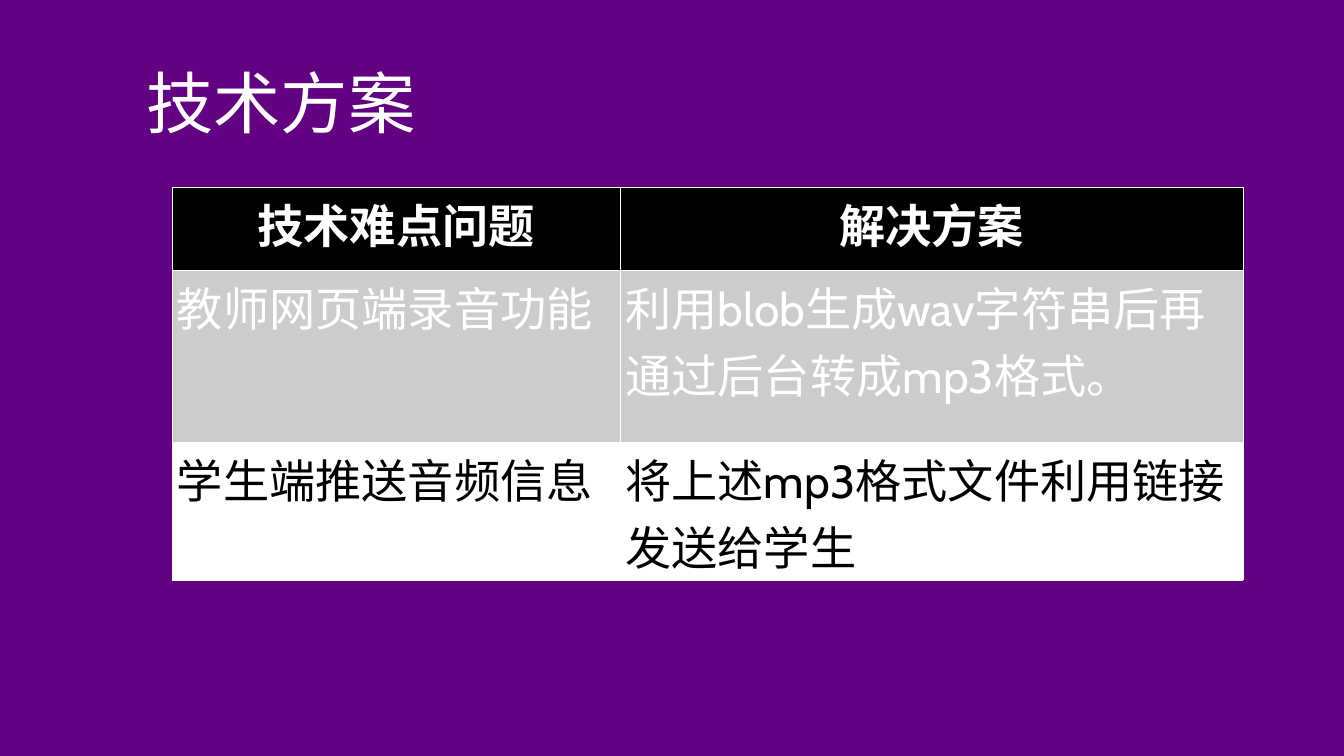
"""Build the technical solutions slide with its problem and solution table."""
from dataclasses import dataclass

from lxml.etree import SubElement
from pptx import Presentation
from pptx.dml.color import RGBColor
from pptx.enum.text import MSO_ANCHOR, PP_ALIGN
from pptx.oxml.ns import qn
from pptx.table import _Cell
from pptx.text.text import TextFrame
from pptx.util import Inches, Pt

PURPLE = RGBColor(0x62, 0x01, 0x82)
WHITE = RGBColor(0xFF, 0xFF, 0xFF)
BLACK = RGBColor(0x00, 0x00, 0x00)
GREY = RGBColor(0xCC, 0xCC, 0xCC)
FONT = "Cabin"


@dataclass(frozen=True)
class TableRow:
    height: float
    texts: tuple[str, str]
    fill: RGBColor
    color: RGBColor
    header: bool = False


COLUMN_WIDTHS = (8.9, 12.36)
ROWS = (
    TableRow(1.65, ("技术难点问题", "解决方案"), BLACK, WHITE, header=True),
    TableRow(3.41, ("教师网页端录音功能", "利用blob生成wav字符串后再通过后台转成mp3格式。"), GREY, WHITE),
    TableRow(2.73, ("学生端推送音频信息", "将上述mp3格式文件利用链接发送给学生"), WHITE, BLACK),
)


def write_text(tf: TextFrame, text: str, size: float, color: RGBColor,
               align: PP_ALIGN, bold: bool = False) -> None:
    tf.text = text
    p = tf.paragraphs[0]
    p.alignment = align
    font = p.runs[0].font
    font.name, font.size, font.bold = FONT, Pt(size), bold
    font.color.rgb = color


def add_bottom_border(cell: _Cell, color: RGBColor, width: float) -> None:
    line = SubElement(cell._tc.get_or_add_tcPr(), qn("a:lnB"), w=str(Pt(width)))
    fill = SubElement(line, qn("a:solidFill"))
    SubElement(fill, qn("a:srgbClr"), val=str(color))


def fill_cell(cell: _Cell, text: str, row: TableRow) -> None:
    if row.header:
        add_bottom_border(cell, WHITE, 2)
    cell.fill.solid()
    cell.fill.fore_color.rgb = row.fill
    align = PP_ALIGN.CENTER if row.header else PP_ALIGN.LEFT
    write_text(cell.text_frame, text, 66, row.color, align, row.header)


def main() -> None:
    prs = Presentation()
    prs.slide_width, prs.slide_height = Inches(26.67), Inches(15)
    s = prs.slides.add_slide(prs.slide_layouts[6])
    s.background.fill.solid()
    s.background.fill.fore_color.rgb = PURPLE

    title = s.shapes.add_textbox(Inches(2.78), Inches(1.16), Inches(5.59), Inches(1.72))
    tf = title.text_frame
    tf.word_wrap = False
    tf.vertical_anchor = MSO_ANCHOR.MIDDLE
    write_text(tf, "技术方案", 96, WHITE, PP_ALIGN.CENTER)

    table = s.shapes.add_table(
        len(ROWS), len(COLUMN_WIDTHS), Inches(3.41), Inches(3.72),
        Inches(sum(COLUMN_WIDTHS)), Inches(sum(row.height for row in ROWS)),
    ).table
    table.horz_banding = False
    for column, width in zip(table.columns, COLUMN_WIDTHS):
        column.width = Inches(width)
    for table_row, row in zip(table.rows, ROWS):
        table_row.height = Inches(row.height)
        for cell, text in zip(table_row.cells, row.texts):
            fill_cell(cell, text, row)

    prs.save("out.pptx")


if __name__ == "__main__":
    main()
